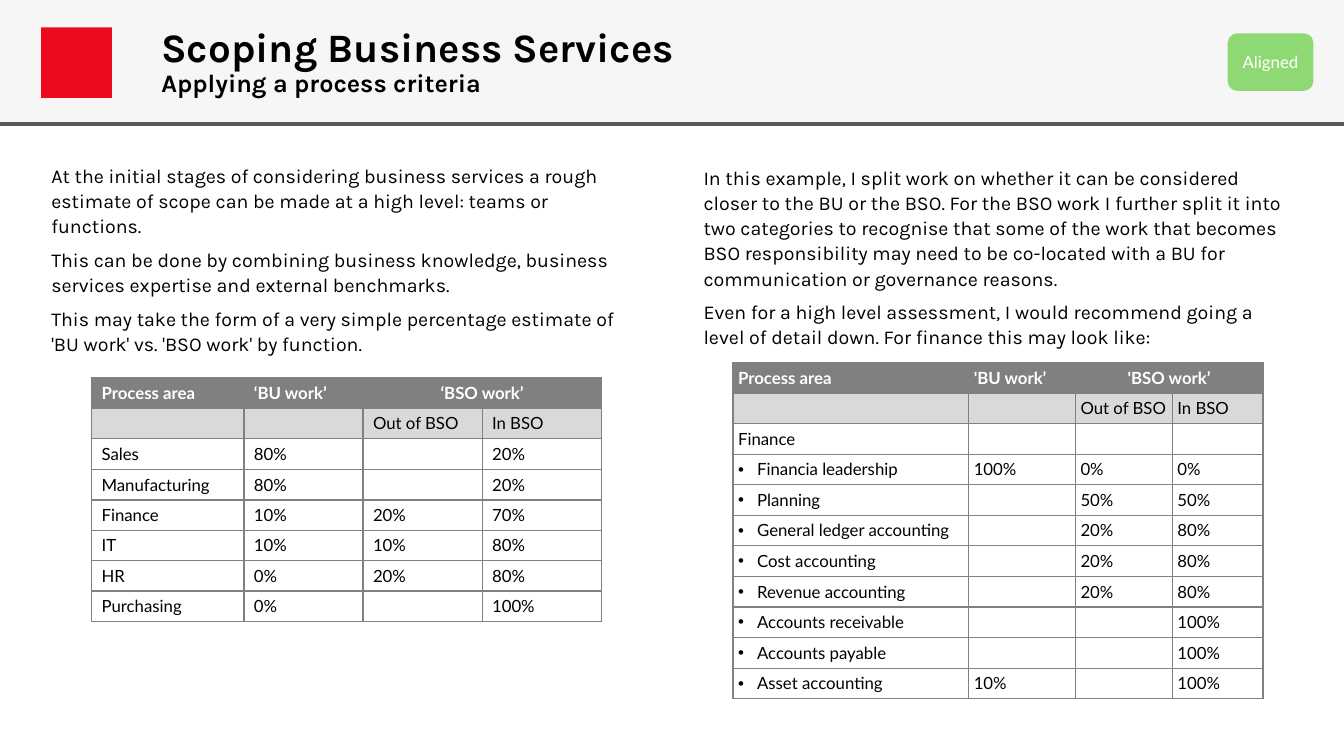
from dataclasses import dataclass

from lxml.etree import SubElement
from pptx import Presentation
from pptx.dml.color import RGBColor
from pptx.enum.shapes import MSO_CONNECTOR as Connector, MSO_SHAPE as Shape
from pptx.enum.text import MSO_ANCHOR as Anchor, MSO_AUTO_SIZE as AutoSize, PP_ALIGN as Align
from pptx.oxml.ns import qn
from pptx.util import Cm, Pt


@dataclass(frozen=True)
class Theme:
    heading_font: str = "Karla"
    table_font: str = "Lato"
    black: str = "000000"
    white: str = "FFFFFF"
    band: str = "F6F6F6"
    rule: str = "58595B"
    accent: str = "EB0A1E"
    badge: str = "8ED973"
    header: str = "808080"
    subheader: str = "D9D9D9"
    title_size: float = 28.8
    subtitle_size: float = 18
    body_size: float = 14
    small_size: float = 12


THEME = Theme()
ROW_HEIGHT = 0.765

INTRODUCTION = [
    "At the initial stages of considering business services a rough estimate of scope "
    "can be made at a high level: teams or functions.",
    "This can be done by combining business knowledge, business services expertise "
    "and external benchmarks.",
    "This may take the form of a very simple percentage estimate of "
    "'BU work' vs. 'BSO work' by function.",
]
EXAMPLE = [
    "In this example, I split work on whether it can be considered closer to the BU or "
    "the BSO. For the BSO work I further split it into two categories to recognise that "
    "some of the work that becomes BSO responsibility may need to be co-located with a "
    "BU for communication or governance reasons.",
    "Even for a high level assessment, I would recommend going a level of detail down. "
    "For finance this may look like:",
]
SUBHEADER = ["", "", "Out of BSO", "In BSO"]
FUNCTION_ROWS = [
    ["Process area", "‘BU work’", "‘BSO work’", ""],
    SUBHEADER,
    ["Sales", "80%", "", "20%"],
    ["Manufacturing", "80%", "", "20%"],
    ["Finance", "10%", "20%", "70%"],
    ["IT", "10%", "10%", "80%"],
    ["HR", "0%", "20%", "80%"],
    ["Purchasing", "0%", "", "100%"],
]
FINANCE_ROWS = [
    ["Process area", "'BU work’", "'BSO work’", ""],
    SUBHEADER,
    ["Finance", "", "", ""],
    ["Financia leadership", "100%", "0%", "0%"],
    ["Planning", "", "50%", "50%"],
    ["General ledger accounting", "", "20%", "80%"],
    ["Cost accounting", "", "20%", "80%"],
    ["Revenue accounting", "", "20%", "80%"],
    ["Accounts receivable", "", "", "100%"],
    ["Accounts payable", "", "", "100%"],
    ["Asset accounting", "10%", "", "100%"],
]


def color(value):
    return RGBColor.from_string(value)


def place(shape, left, top, width, height):
    shape.left, shape.top, shape.width, shape.height = map(Cm, (left, top, width, height))


def add_run(para, text, font, size, ink, bold=False):
    run = para.add_run()
    run.text = text
    run.font.name, run.font.size, run.font.bold = font, Pt(size), bold
    run.font.color.rgb = color(ink)


def set_indent(para, left, first, bullet=None):
    properties = para._p.get_or_add_pPr()
    properties.set("marL", str(Cm(left)))
    properties.set("indent", str(Cm(first)))
    if bullet:
        SubElement(properties, qn("a:buFont"), typeface="Arial")
        SubElement(properties, qn("a:buChar"), char=bullet)
    else:
        SubElement(properties, qn("a:buNone"))


def add_block(page, kind, fill, *bounds):
    block = page.shapes.add_shape(kind, *map(Cm, bounds))
    block.shadow.inherit = False
    block.fill.solid()
    block.fill.fore_color.rgb = color(fill)
    block.line.fill.background()
    return block


def add_header(page):
    # Band and rule sit behind the title
    band = add_block(page, Shape.RECTANGLE, THEME.band, 0, 0, 33.87, 3.12)
    rule = page.shapes.add_connector(Connector.STRAIGHT, 0, Cm(3.12), Cm(33.87), Cm(3.12))
    rule.line.color.rgb = color(THEME.rule)
    rule.line.width = Pt(3)
    SubElement(rule._element.spPr, qn("a:effectLst"))
    title = page.shapes.title
    for backdrop in (band, rule):
        title.element.addprevious(backdrop.element)

    # Title with its second line
    place(title, 3.78, 0.69, 28.22, 1.78)
    frame = title.text_frame
    frame.auto_size, frame.vertical_anchor = AutoSize.NONE, Anchor.MIDDLE
    para = frame.paragraphs[0]
    set_indent(para, 0.03, 0)
    para.alignment, para.line_spacing = Align.LEFT, 0.9
    add_run(para, "Scoping Business Services", THEME.heading_font, THEME.title_size,
            THEME.black, True)
    para.add_line_break()
    add_run(para, "Applying a process criteria", THEME.heading_font, THEME.subtitle_size,
            THEME.black, True)

    # Accent square and status badge
    add_block(page, Shape.RECTANGLE, THEME.accent, 1.04, 0.69, 1.78, 1.78)
    badge = add_block(page, Shape.ROUNDED_RECTANGLE, THEME.badge, 30.94, 0.84, 2.16, 1.45)
    badge.text_frame.vertical_anchor = Anchor.MIDDLE
    badge.text_frame.margin_left = badge.text_frame.margin_right = 0
    para = badge.text_frame.paragraphs[0]
    para.alignment = Align.CENTER
    add_run(para, "Aligned", THEME.table_font, THEME.small_size, THEME.white)


def fill_body(box, texts):
    frame = box.text_frame
    frame.word_wrap, frame.auto_size = True, AutoSize.NONE
    for index, text in enumerate(texts):
        para = frame.add_paragraph() if index else frame.paragraphs[0]
        set_indent(para, 0, 0)
        para.alignment, para.line_spacing = Align.LEFT, Pt(18)
        para.space_before, para.space_after = Pt(0), Pt(6)
        add_run(para, text, THEME.heading_font, THEME.body_size, THEME.black)


def set_borders(cell):
    properties = cell._tc.get_or_add_tcPr()
    for position, side in enumerate(("a:lnL", "a:lnR", "a:lnT", "a:lnB")):
        line = SubElement(properties, qn(side), w=str(Pt(1)))
        SubElement(SubElement(line, qn("a:solidFill")), qn("a:srgbClr"), val=THEME.header)
        properties.insert(position, line)


def format_cell(cell, text, row, margin, bulleted):
    cell.margin_left = cell.margin_right = Cm(margin)
    if row < 2:
        cell.fill.solid()
        cell.fill.fore_color.rgb = color((THEME.header, THEME.subheader)[row])
    else:
        cell.fill.background()
    set_borders(cell)
    para = cell.text_frame.paragraphs[0]
    if bulleted:
        set_indent(para, 0.48, -0.48, "•")
    if text:
        ink = THEME.black if row else THEME.white
        add_run(para, text, THEME.table_font, THEME.small_size, ink, row == 0)
    else:
        # Keeps empty cells from stretching the row
        SubElement(para._p, qn("a:endParaRPr"), sz=str(THEME.small_size * 100))


def add_work_table(page, rows, left, top, widths, margin, first_bullet=None):
    frame = page.shapes.add_table(len(rows), len(widths), Cm(left), Cm(top),
                                  Cm(sum(widths)), Cm(ROW_HEIGHT * len(rows)))
    table = frame.table
    table.first_row = table.horz_banding = False
    for column, width in zip(table.columns, widths):
        column.width = Cm(width)
    for row, texts in enumerate(rows):
        table.rows[row].height = Cm(ROW_HEIGHT)
        for column, text in enumerate(texts):
            bulleted = column == 0 and first_bullet is not None and row >= first_bullet
            format_cell(table.cell(row, column), text, row, margin, bulleted)
    table.cell(0, 2).merge(table.cell(0, 3))
    table.cell(0, 2).text_frame.paragraphs[0].alignment = Align.CENTER


def main():
    deck = Presentation()
    deck.slide_width, deck.slide_height = Cm(33.87), Cm(19.05)
    page = deck.slides.add_slide(deck.slide_layouts[1])
    add_header(page)

    # Left column
    introduction = page.placeholders[1]
    place(introduction, 1.04, 3.96, 14.88, 12.67)
    fill_body(introduction, INTRODUCTION)
    add_work_table(page, FUNCTION_ROWS, 2.31, 9.52, [3.84, 3, 3, 3], 0.25)

    # Right column
    example = page.shapes.add_textbox(Cm(17.48), Cm(4.01), Cm(15.37), Cm(4.5))
    fill_body(example, EXAMPLE)
    add_work_table(page, FINANCE_ROWS, 18.47, 9.14, [5.94, 2.69, 2.44, 2.29], 0.13, 3)

    deck.save("out.pptx")


if __name__ == "__main__":
    main()
